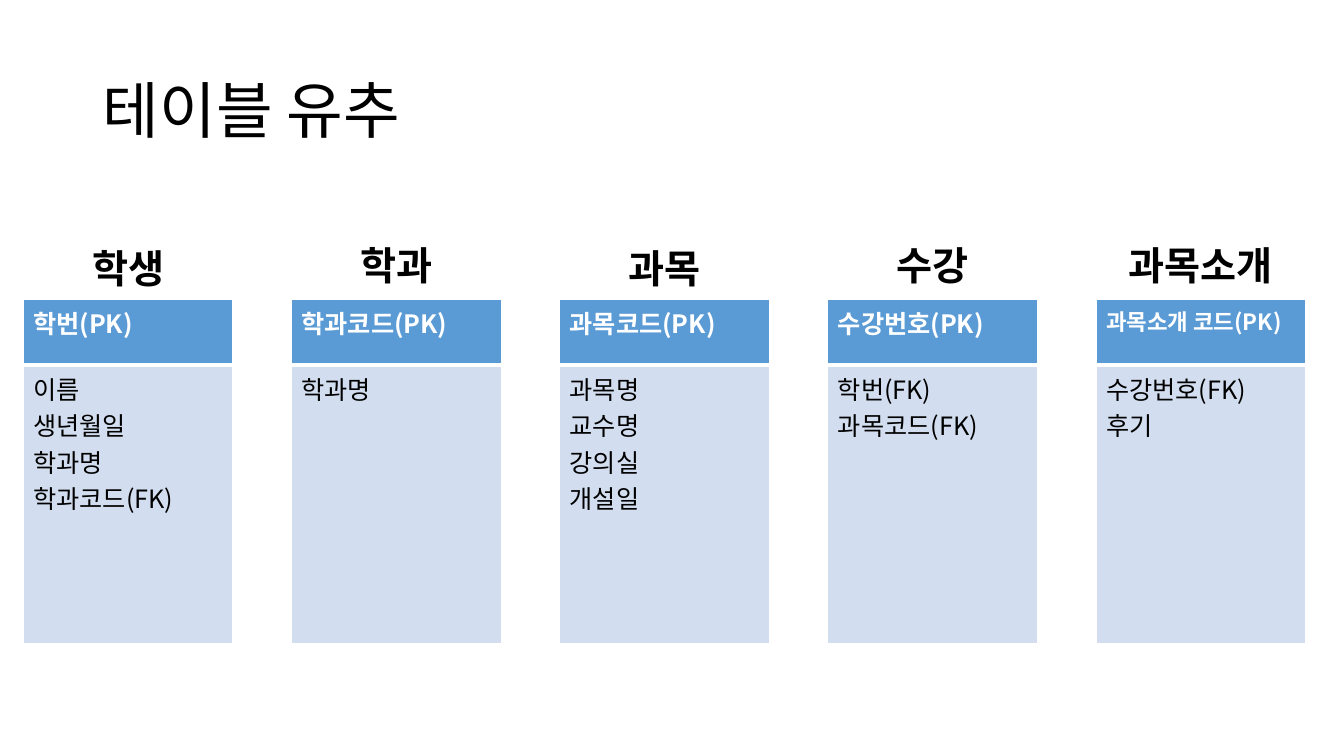
from lxml import etree
from pptx import Presentation, util as u
from pptx.dml.color import RGBColor
from pptx.enum import text as t
from pptx.oxml.ns import qn

PX = u.Inches(1) // 100
HUES = {"ink": "000000", "paper": "FFFFFF", "head": "5B9BD5", "body": "D2DEEF"}
LEFT, STEP, WIDTH = 23, 266, 208
TOP, ROWS = 297, (65, 277)

# name, top of name, key, size of key, other fields
TABLES = [
    ("학생", 237, "학번(PK)", 18, ["이름", "생년월일", "학과명", "학과코드(FK)"]),
    ("학과", 234, "학과코드(PK)", 18, ["학과명"]),
    ("과목", 237, "과목코드(PK)", 18, ["과목명", "교수명", "강의실", "개설일"]),
    ("수강", 234, "수강번호(PK)", 18, ["학번(FK)", "과목코드(FK)"]),
    ("과목소개", 234, "과목소개 코드(PK)", 16, ["수강번호(FK)", "후기"]),
]


class Board:
    font = "Noto Sans CJK KR"

    def __init__(self, deck):
        self.slide = deck.slides.add_slide(deck.slide_layouts[5])

    def hue(self, name):
        return RGBColor.from_string(HUES[name])

    def words(self, frame, lines, size, hue="ink", bold=False, **form):
        """Fill a text frame, one paragraph a line; form holds paragraph values."""
        frame.word_wrap = True
        for i, line in enumerate(lines):
            para = frame.add_paragraph() if i else frame.paragraphs[0]
            for key, val in form.items():
                setattr(para, key, val)
            run = para.add_run()
            run.text = line
            looks = {"size": u.Pt(size), "bold": bold, "name": self.font}
            for key, val in looks.items():
                setattr(run.font, key, val)
            run.font.color.rgb = self.hue(hue)
            etree.SubElement(run.font._element, qn("a:ea"), typeface=self.font)

    def title(self, line, *box):
        shape = self.slide.shapes.title
        for key, val in zip(("left", "top", "width", "height"), box):
            setattr(shape, key, val * PX)
        frame = shape.text_frame
        frame.auto_size = t.MSO_AUTO_SIZE.NONE
        frame.vertical_anchor = t.MSO_ANCHOR.MIDDLE
        self.words(frame, [line], 44, alignment=t.PP_ALIGN.LEFT, line_spacing=0.9)

    def label(self, line, *box):
        shape = self.slide.shapes.add_textbox(*(n * PX for n in box))
        self.words(shape.text_frame, [line], 28, bold=True,
                   alignment=t.PP_ALIGN.CENTER)

    def edge(self, cell, base):
        """Draw white cell borders, the bottom one base points wide."""
        props = cell._tc.get_or_add_tcPr()
        for i, side in enumerate("LRTB"):
            wide = u.Pt(base if side == "B" else 1)
            line = etree.Element(qn(f"a:ln{side}"), w=str(wide))
            fill = etree.SubElement(line, qn("a:solidFill"))
            etree.SubElement(fill, qn("a:srgbClr"), val=HUES["paper"])
            props.insert(i, line)

    def cell(self, cell, fill, base, lines, size, **looks):
        cell.fill.solid()
        cell.fill.fore_color.rgb = self.hue(fill)
        self.edge(cell, base)
        self.words(cell.text_frame, lines, size, **looks)

    def table(self, left, key, size, fields):
        box = (left, TOP, WIDTH, sum(ROWS))
        grid = self.slide.shapes.add_table(2, 1, *(n * PX for n in box)).table
        for row, tall in zip(grid.rows, ROWS):
            row.height = tall * PX
        self.cell(grid.cell(0, 0), "head", 3, [key], size, hue="paper", bold=True)
        self.cell(grid.cell(1, 0), "body", 1, fields, 18)


def main():
    deck = Presentation()
    deck.slide_width, deck.slide_height = u.Inches(13.33), u.Inches(7.5)
    board = Board(deck)
    board.title("테이블 유추", 92, 40, 1150, 145)
    for i, (name, top, key, size, fields) in enumerate(TABLES):
        left = LEFT + i * STEP
        board.table(left, key, size, fields)
        board.label(name, left, top, WIDTH, 57)
    deck.save("out.pptx")


if __name__ == "__main__":
    main()
